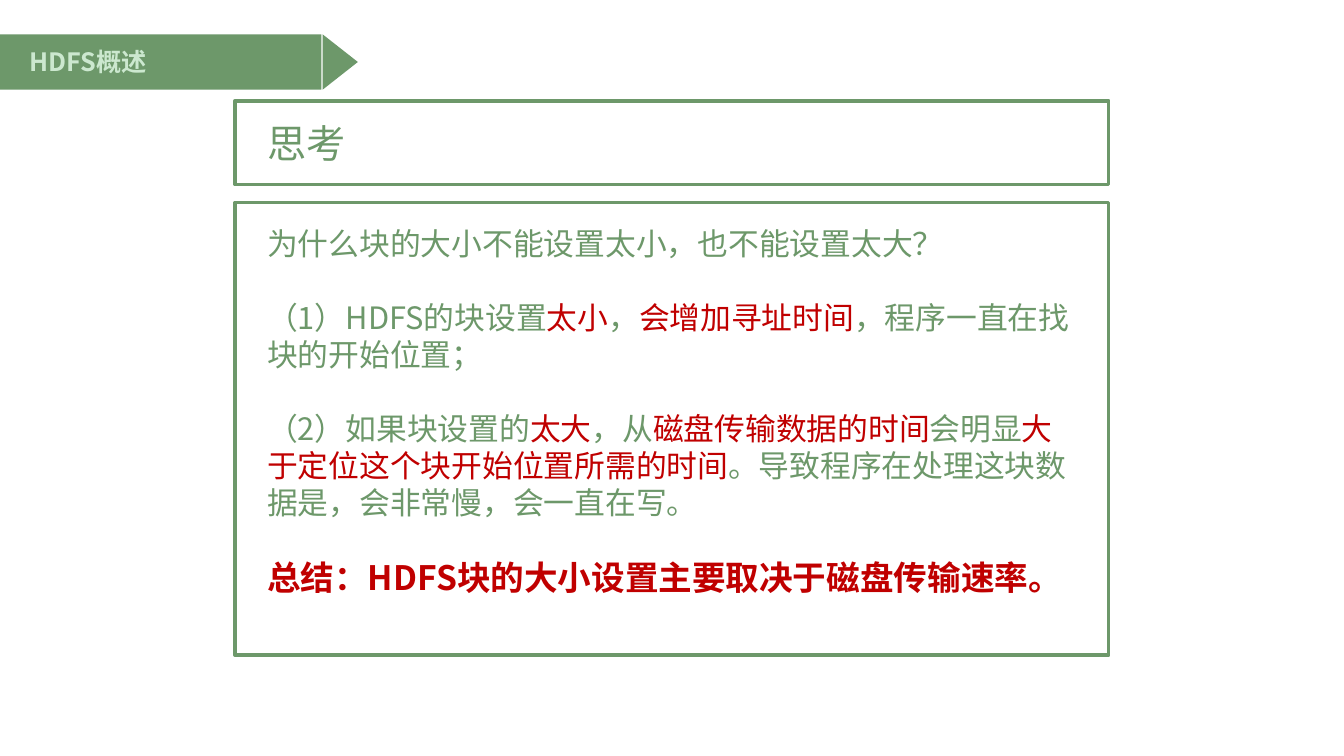
from dataclasses import dataclass

from pptx import Presentation
from pptx.dml.color import RGBColor as RGB
from pptx.enum.shapes import MSO_SHAPE as Form
from pptx.enum.text import MSO_ANCHOR as Anchor
from pptx.oxml.ns import qn
from pptx.util import Pt


@dataclass(frozen=True)
class Theme:
    font: str = "Noto Sans CJK SC"
    green: RGB = RGB(0x6D, 0x98, 0x6A)
    mint: RGB = RGB(0xCC, 0xE8, 0xCF)
    red: RGB = RGB(0xC0, 0x00, 0x00)
    tag: int = 18
    body: int = 22
    sum: int = 24
    head: int = 28
    line: float = 2.5
    lead: float = 1.2
    inset: float = 3.6


T = Theme()

# Body text: stars enclose the red words
POINTS = [
    "为什么块的大小不能设置太小，也不能设置太大？",
    "（1）HDFS的块设置*太小*，*会增加寻址时间*，程序一直在找块的开始位置；",
    "（2）如果块设置的*太大*，从*磁盘传输数据的时间*会明显"
    "*大于定位这个块开始位置所需的时间*。导致程序在处理这块数据是，会非常慢，会一直在写。",
]
SUMMARY = "总结：HDFS块的大小设置主要取决于磁盘传输速率。"


def place(shapes, form, *box):
    shape = shapes.add_shape(form, *map(Pt, box))
    shape.shadow.inherit = False
    return shape


def solid(shapes, form, *box):
    shape = place(shapes, form, *box)
    shape.fill.solid()
    shape.fill.fore_color.rgb = T.green
    shape.line.fill.background()
    return shape


def frame(shapes, *box):
    shape = place(shapes, Form.RECTANGLE, *box)
    shape.fill.background()
    shape.line.color.rgb = T.green
    shape.line.width = Pt(T.line)


def text_box(shapes, *box, anchor=Anchor.TOP):
    text = shapes.add_textbox(*map(Pt, box)).text_frame
    text.word_wrap = True
    text.vertical_anchor = anchor
    text.margin_left = text.margin_right = Pt(T.inset)
    text.margin_top = text.margin_bottom = Pt(T.inset)
    return text


def write(para, words, size, color, bold=False, gap=0):
    para.font.name, para.font.size, para.font.bold = T.font, Pt(size), bold
    para.line_spacing = Pt(size * T.lead)
    para.space_before = Pt(gap)
    for i, part in enumerate(words.split("*")):
        if part:
            run = para.add_run()
            run.text = part
            run.font.color.rgb = T.red if i % 2 else color
            # Chinese glyphs take the East Asian font
            east = run._r.get_or_add_rPr().makeelement(qn("a:ea"), {"typeface": T.font})
            run._r.rPr.append(east)


def banner(shapes):
    group = shapes.add_group_shape().shapes
    solid(group, Form.RECTANGLE, -0.7, 24.5, 230.4, 39.6)
    solid(group, Form.ISOSCELES_TRIANGLE, 223.2, 31.7, 39.6, 25.2).rotation = 90
    text = text_box(shapes, 17.3, 29.5, 195, 28.8, anchor=Anchor.MIDDLE)
    write(text.paragraphs[0], "HDFS概述", T.tag, T.mint, bold=True)


def heading(shapes, left, width):
    frame(shapes, left, 72, width, 59.8)
    text = text_box(shapes, left + 19.4, 81.4, 494.6, 41)
    write(text.paragraphs[0], "思考", T.head, T.green)


def answer(shapes, left, width):
    frame(shapes, left, 144.7, width, 323.3)
    text = text_box(shapes, left + 19.4, 157, 589.7, 273.6)
    gap = T.body * T.lead
    for i, point in enumerate(POINTS):
        para = text.add_paragraph() if i else text.paragraphs[0]
        write(para, point, T.body, T.green, gap=gap if i else 0)
    write(text.add_paragraph(), SUMMARY, T.sum, T.red, bold=True, gap=gap)


def main():
    deck = Presentation()
    deck.slide_width, deck.slide_height = Pt(960), Pt(540)
    shapes = deck.slides.add_slide(deck.slide_layouts[6]).shapes
    left, width = 167.8, 624.2
    banner(shapes)
    answer(shapes, left, width)
    heading(shapes, left, width)
    deck.save("out.pptx")


main()
